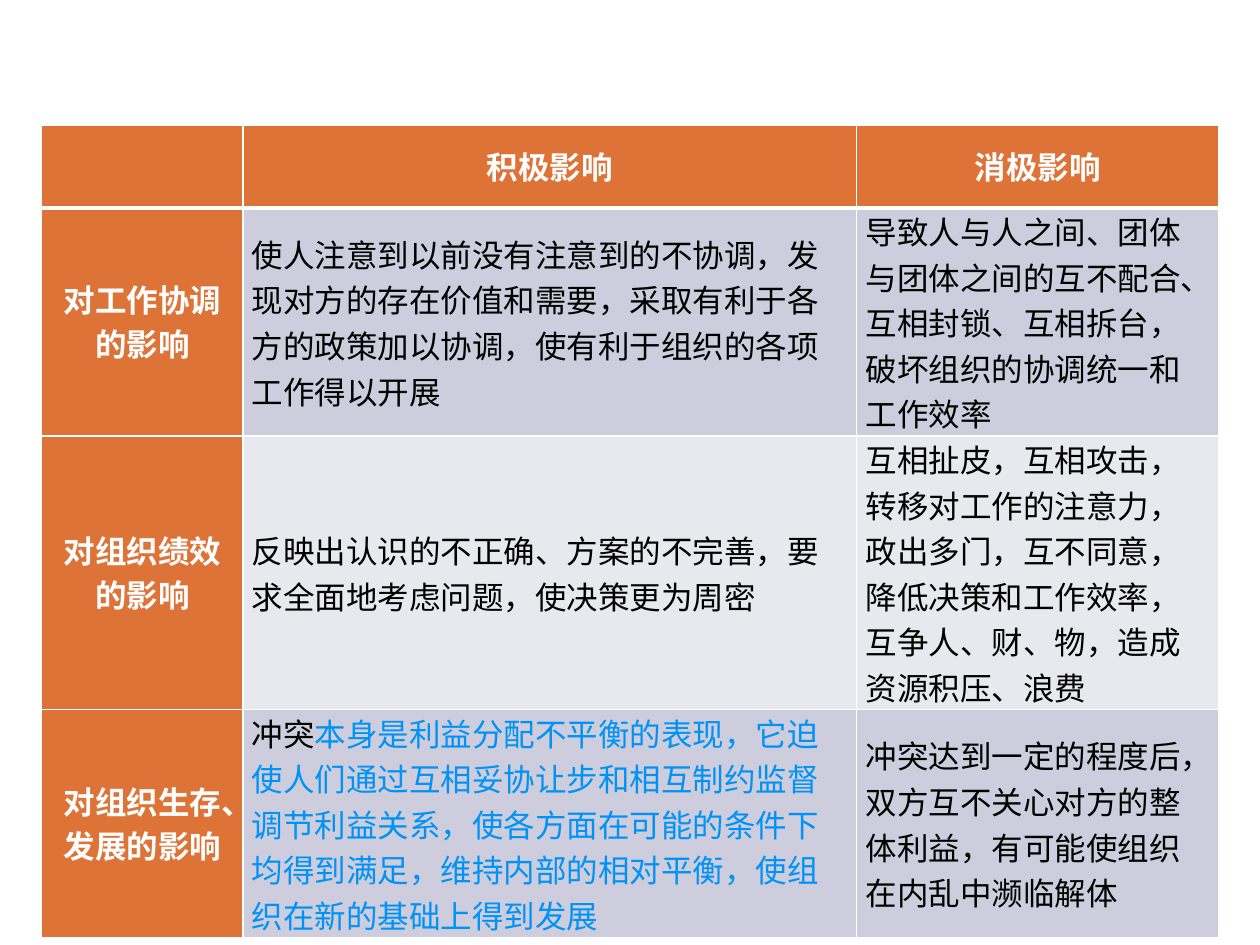
from pptx import Presentation
from pptx.dml.color import RGBColor
from pptx.enum.text import MSO_ANCHOR, PP_ALIGN
from pptx.oxml.ns import qn
from pptx.util import Inches, Pt
from lxml.etree import SubElement

THEME = {
    "font": "Noto Sans CJK SC",
    "size": Pt(18),
    "leading": Pt(25),
    "heading_fill": "DE7337",
    "heading_text": "FFFFFF",
    "body_text": "000000",
    "accent_text": "0093F5",
    "bands": ["CDCDDE", "E8E8EF"],
    "rule": "FFFFFF",
    "thin": Pt(1),
    "thick": Pt(3),
}

EFFECTS = [
    ["", "积极影响", "消极影响"],
    ["对工作协调的影响",
     "使人注意到以前没有注意到的不协调，发现对方的存在价值和需要，采取有利于各方的政策加以协调，使有利于组织的各项工作得以开展",
     "导致人与人之间、团体与团体之间的互不配合、互相封锁、互相拆台，破坏组织的协调统一和工作效率"],
    ["对组织绩效的影响",
     "反映出认识的不正确、方案的不完善，要求全面地考虑问题，使决策更为周密",
     "互相扯皮，互相攻击，转移对工作的注意力，政出多门，互不同意，降低决策和工作效率，互争人、财、物，造成资源积压、浪费"],
    ["对组织生存、发展的影响",
     ["冲突",
      "本身是利益分配不平衡的表现，它迫使人们通过互相妥协让步和相互制约监督调节利益关系，使各方面在可能的条件下均得到满足，维持内部的相对平衡，使组织在新的基础上得到发展"],
     "冲突达到一定的程度后，双方互不关心对方的整体利益，有可能使组织在内乱中濒临解体"],
]
COLUMN_WIDTHS = [1.6, 4.87, 2.87]
ROW_HEIGHTS = [0.66, 1.61, 1.94, 1.77]


def add_borders(cell, widths):
    properties = cell._tc.get_or_add_tcPr()
    for side, width in widths.items():
        line = SubElement(properties, qn(f"a:{side}"), w=str(width))
        fill = SubElement(line, qn("a:solidFill"))
        SubElement(fill, qn("a:srgbClr"), val=THEME["rule"])


def add_words(paragraph, words, color, bold):
    run = paragraph.add_run()
    run.text = words
    for key, value in {"name": THEME["font"], "size": THEME["size"], "bold": bold}.items():
        setattr(run.font, key, value)
    run.font.color.rgb = RGBColor.from_string(color)
    SubElement(run.font._element, qn("a:ea"), typeface=THEME["font"])


deck = Presentation()
deck.slide_width, deck.slide_height = Inches(10), Inches(7.5)
slide = deck.slides.add_slide(deck.slide_layouts[6])
effects = slide.shapes.add_table(
    len(ROW_HEIGHTS), len(COLUMN_WIDTHS), Inches(0.33), Inches(0.99),
    Inches(sum(COLUMN_WIDTHS)), Inches(sum(ROW_HEIGHTS))).table

for column, width in zip(effects.columns, COLUMN_WIDTHS):
    column.width = Inches(width)
for row, height in zip(effects.rows, ROW_HEIGHTS):
    row.height = Inches(height)

for r, entries in enumerate(EFFECTS):
    for c, entry in enumerate(entries):
        cell = effects.cell(r, c)
        is_heading = r == 0 or c == 0
        side_margin = Inches(0.05 if r == 0 else 0.07)
        cell_format = {
            "vertical_anchor": MSO_ANCHOR.MIDDLE,
            "margin_left": side_margin,
            "margin_right": side_margin,
            "margin_top": 0,
            "margin_bottom": 0,
        }
        for key, value in cell_format.items():
            setattr(cell, key, value)
        add_borders(cell, {
            "lnL": THEME["thin"],
            "lnR": THEME["thin"],
            "lnT": THEME["thick" if r == 1 else "thin"],
            "lnB": THEME["thick" if r == 0 else "thin"],
        })
        fill_color = THEME["heading_fill"] if is_heading else THEME["bands"][(r - 1) % 2]
        cell.fill.solid()
        cell.fill.fore_color.rgb = RGBColor.from_string(fill_color)

        paragraph = cell.text_frame.paragraphs[0]
        if is_heading:
            paragraph.alignment = PP_ALIGN.CENTER
            paragraph.line_spacing = THEME["leading"]
        parts = entry if isinstance(entry, list) else [entry]
        colors = [THEME["heading_text" if is_heading else "body_text"], THEME["accent_text"]]
        for words, color in zip(parts, colors):
            if words:
                add_words(paragraph, words, color, is_heading)

deck.save("out.pptx")
